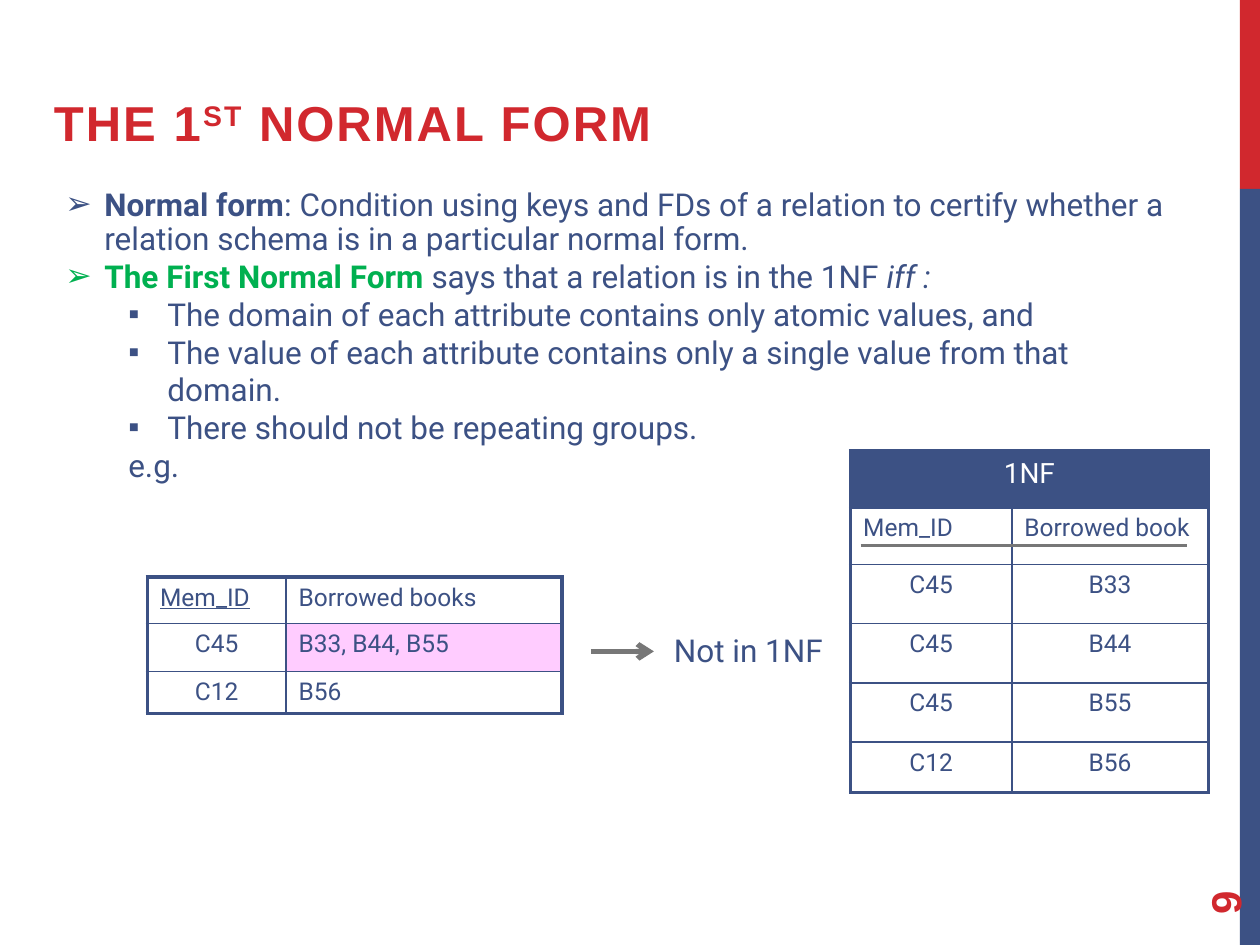
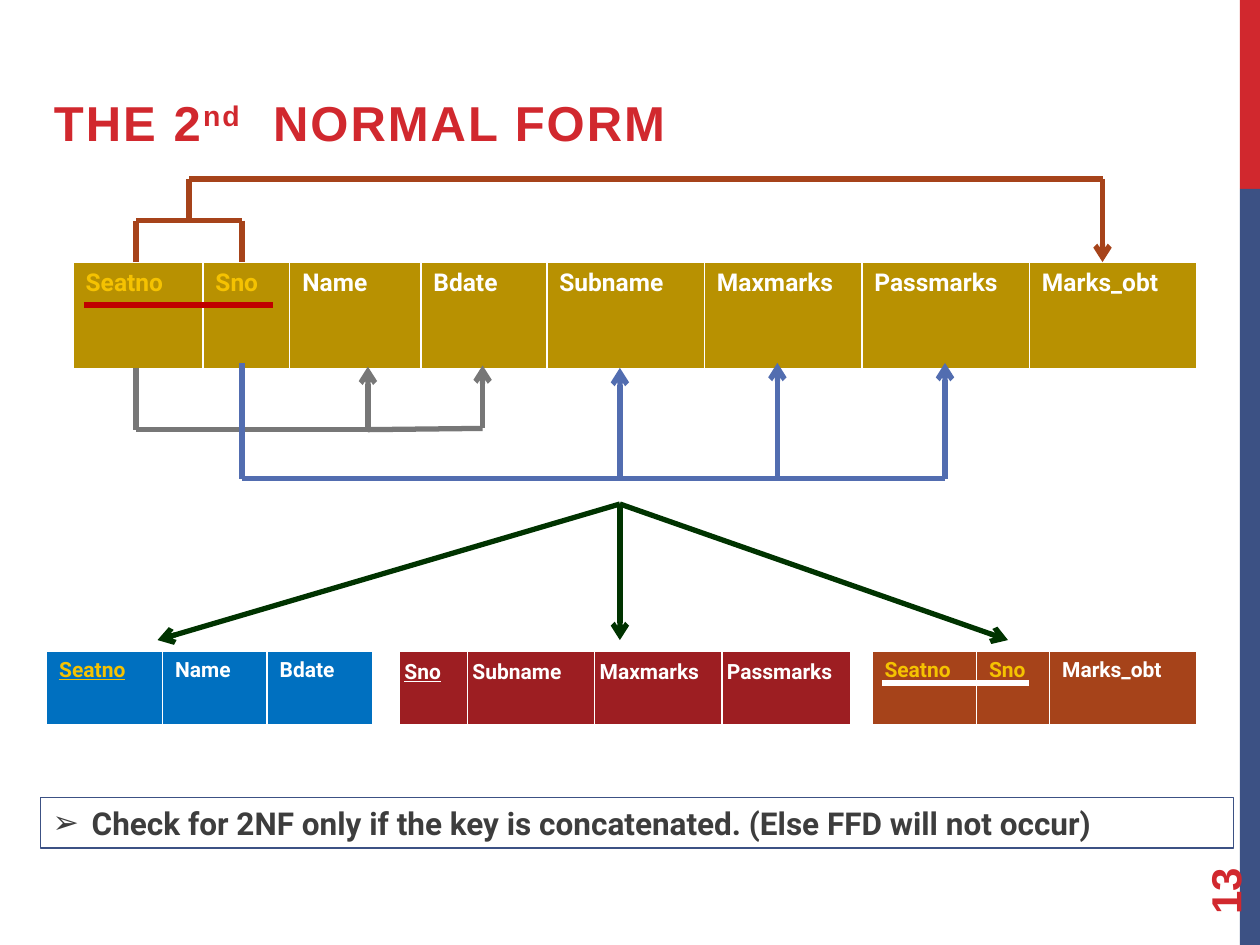
from dataclasses import dataclass
from itertools import pairwise

from lxml.etree import SubElement
from pptx import Presentation
from pptx.dml.color import RGBColor
from pptx.enum.shapes import MSO_CONNECTOR, MSO_SHAPE
from pptx.enum.text import MSO_ANCHOR, PP_ALIGN
from pptx.oxml.ns import qn
from pptx.util import Inches, Pt

RED = RGBColor(0xD1, 0x28, 0x2E)
NAVY = RGBColor(0x3C, 0x51, 0x84)
WHITE = RGBColor(0xFF, 0xFF, 0xFF)
GREEN = RGBColor(0x00, 0xB0, 0x50)
GREY = RGBColor(0x77, 0x77, 0x77)
PINK = RGBColor(0xFF, 0xCC, 0xFF)
OCHRE = RGBColor(0xB8, 0x91, 0x01)
YELLOW = RGBColor(0xF5, 0xC2, 0x01)
BLUE = RGBColor(0x52, 0x6D, 0xB0)
BRIGHT_BLUE = RGBColor(0x00, 0x70, 0xC0)
RUST = RGBColor(0xA6, 0x43, 0x1A)
DARK_GREEN = RGBColor(0x00, 0x33, 0x00)
CRIMSON = RGBColor(0x9D, 0x1E, 0x22)
KEY_RED = RGBColor(0xC0, 0x00, 0x00)
CHARCOAL = RGBColor(0x3D, 0x3D, 0x3D)

HEADING_FONT, BODY_FONT = "Arial", "Roboto"
BAND_LEFT, BAND_WIDTH, BAND_SPLIT = 9.84, 0.16, 1.5
HANGING = 0.31

Point = tuple[float, float]


@dataclass(frozen=True)
class Cell:
    text: str
    color: RGBColor = NAVY
    fill: RGBColor | None = None
    centered: bool = False
    underline: bool = False
    size: float | None = None
    span: int = 1


@dataclass(frozen=True)
class Grid:
    left: float
    top: float
    widths: tuple[float, ...]
    heights: tuple[float, ...]
    rows: tuple[tuple[Cell, ...], ...]
    size: float = 14
    bold: bool = False
    border: RGBColor = NAVY
    outer: float = 2.25
    margin: float | None = None
    line_spacing: float = 1.0


@dataclass(frozen=True)
class Route:
    """Straight segments through points, with an optional arrowhead at the end."""
    points: tuple[Point, ...]
    color: RGBColor
    arrow: bool = False
    width: float = 3


# Text
def add_run(paragraph, text: str, *, color: RGBColor = NAVY, size: float = 18,
            font: str = BODY_FONT, bold: bool = False, italic: bool = False,
            underline: bool = False, raised: bool = False, tracking: float = 0) -> None:
    run = paragraph.add_run()
    run.text = text
    run.font.name, run.font.size = font, Pt(size)
    run.font.bold, run.font.italic, run.font.underline = bold, italic, underline
    run.font.color.rgb = color
    properties = run.font._element
    if raised:
        properties.set("baseline", "30000")
    if tracking:
        properties.set("spc", str(round(tracking * 100)))


def set_indent(paragraph, left: float, bullet: str = "") -> None:
    properties = paragraph._p.get_or_add_pPr()
    properties.set("marL", str(Inches(left)))
    properties.set("indent", str(Inches(-HANGING) if bullet else 0))
    if bullet:
        SubElement(properties, qn("a:buFont"), typeface=HEADING_FONT)
        SubElement(properties, qn("a:buChar"), char=bullet)


def add_text_box(slide, left: float, top: float, width: float, height: float,
                 anchor=MSO_ANCHOR.TOP, wrap: bool = True):
    box = slide.shapes.add_textbox(Inches(left), Inches(top), Inches(width), Inches(height))
    box.text_frame.word_wrap = wrap
    box.text_frame.vertical_anchor = anchor
    return box


# Shapes and lines
def add_rectangle(slide, left: float, top: float, width: float, height: float,
                  fill: RGBColor | None = None, line: RGBColor | None = None):
    shape = slide.shapes.add_shape(MSO_SHAPE.RECTANGLE, Inches(left), Inches(top),
                                   Inches(width), Inches(height))
    shape.shadow.inherit = False
    if fill is None:
        shape.fill.background()
    else:
        shape.fill.solid()
        shape.fill.fore_color.rgb = fill
    if line is None:
        shape.line.fill.background()
    else:
        shape.line.color.rgb = line
        shape.line.width = Pt(0.75)
    return shape


def draw_route(slide, route: Route) -> None:
    for start, end in pairwise(route.points):
        connector = slide.shapes.add_connector(
            MSO_CONNECTOR.STRAIGHT, *(Inches(value) for value in (*start, *end)))
        connector.line.color.rgb = route.color
        connector.line.width = Pt(route.width)
        SubElement(connector._element.spPr, qn("a:effectLst"))
    if route.arrow:
        SubElement(connector.line._get_or_add_ln(), qn("a:tailEnd"), type="arrow")


# Tables
def set_border(cell, side: str, color: RGBColor, width: float) -> None:
    line = SubElement(cell._tc.get_or_add_tcPr(), qn(f"a:ln{side}"), w=str(Pt(width)))
    SubElement(SubElement(line, qn("a:solidFill")), qn("a:srgbClr"), val=str(color))


def draw_grid(slide, grid: Grid) -> None:
    row_count, column_count = len(grid.heights), len(grid.widths)
    table = slide.shapes.add_table(
        row_count, column_count, Inches(grid.left), Inches(grid.top),
        Inches(sum(grid.widths)), Inches(sum(grid.heights))).table
    table.first_row = table.horz_banding = False
    for column, width in zip(table.columns, grid.widths):
        column.width = Inches(width)
    for row, height in zip(table.rows, grid.heights):
        row.height = Inches(height)

    for row_index, row in enumerate(grid.rows):
        for column_index, content in enumerate(row):
            cell = table.cell(row_index, column_index)
            last_column = column_index + content.span - 1
            if content.span > 1:
                cell.merge(table.cell(row_index, last_column))
            at_edge = {"L": column_index == 0, "R": last_column == column_count - 1,
                       "T": row_index == 0, "B": row_index == row_count - 1}
            for side, is_outer in at_edge.items():
                set_border(cell, side, grid.border, grid.outer if is_outer else 1)
            if content.fill is None:
                cell.fill.background()
            else:
                cell.fill.solid()
                cell.fill.fore_color.rgb = content.fill
            if grid.margin is not None:
                cell.margin_left = cell.margin_right = Inches(grid.margin)
                cell.margin_top = cell.margin_bottom = Inches(grid.margin)
            paragraph = cell.text_frame.paragraphs[0]
            paragraph.alignment = PP_ALIGN.CENTER if content.centered else PP_ALIGN.LEFT
            paragraph.line_spacing = grid.line_spacing
            add_run(paragraph, content.text, color=content.color, bold=grid.bold,
                    size=content.size or grid.size, underline=content.underline)


def relation(left: float, top: float, height: float, widths: tuple[float, ...],
             names: str, fill: RGBColor, *, keys: str = "", underlined: str = "",
             size: float = 12, margin: float | None = None, line_spacing: float = 1.0) -> Grid:
    """One-row table of attribute names, with key attributes in yellow."""
    cells = tuple(Cell(name, YELLOW if name in keys.split() else WHITE, fill,
                       underline=name == underlined) for name in names.split())
    return Grid(left, top, widths, (height,), (cells,), size, True, WHITE, 1,
                margin, line_spacing)


# Parts common to both slides
def add_base_slide(presentation, number: int, start: str, ordinal: str, end: str):
    slide = presentation.slides.add_slide(presentation.slide_layouts[6])
    add_rectangle(slide, BAND_LEFT, 0, BAND_WIDTH, BAND_SPLIT, RED)
    add_rectangle(slide, BAND_LEFT, BAND_SPLIT, BAND_WIDTH, 7.5 - BAND_SPLIT, NAVY)
    page = add_text_box(slide, 9, 6.44, 1.44, 0.4, MSO_ANCHOR.MIDDLE)
    page.rotation = 270
    add_run(page.text_frame.paragraphs[0], str(number), font=HEADING_FONT,
            size=24, color=RED, bold=True)
    title = add_text_box(slide, 0.33, 0.58, 8.42, 0.67, MSO_ANCHOR.BOTTOM)
    for text in (start, ordinal, end):
        add_run(title.text_frame.paragraphs[0], text, font=HEADING_FONT, size=28,
                color=RED, bold=True, raised=text == ordinal, tracking=1.2)
    return slide


def build_first_normal_form(presentation) -> None:
    slide = add_base_slide(presentation, 9, "THE 1", "ST", " NORMAL FORM")

    # Definition
    frame = add_text_box(slide, 0.42, 1.45, 9.08, 3.04).text_frame
    definition = frame.paragraphs[0]
    definition.line_spacing = 0.9
    set_indent(definition, HANGING, "➢")
    add_run(definition, "Normal form", bold=True)
    add_run(definition, ": Condition using keys and FDs of a relation to certify "
                        "whether a relation schema is in a particular normal form.")
    rule = frame.add_paragraph()
    set_indent(rule, HANGING, "➢")
    add_run(rule, "The First Normal Form ", color=GREEN, bold=True)
    add_run(rule, "says that a relation is in the 1NF ")
    add_run(rule, "iff :", italic=True)
    for text in ("The domain of each attribute contains only atomic values, and",
                 "The value of each attribute contains only a single value from that domain.",
                 "There should not be repeating groups."):
        condition = frame.add_paragraph()
        set_indent(condition, 0.5 + HANGING, "▪")
        add_run(condition, text)
    example = frame.add_paragraph()
    set_indent(example, 0.5)
    add_run(example, "e.g.")

    # Unnormalised relation, and its 1NF version
    draw_grid(slide, Grid(1.17, 4.58, (1.1, 2.19), (0.37, 0.38, 0.33), (
        (Cell("Mem_ID", underline=True), Cell("Borrowed books")),
        (Cell("C45", centered=True), Cell("B33, B44, B55", fill=PINK)),
        (Cell("C12", centered=True), Cell("B56")))))
    draw_route(slide, Route(((4.69, 5.17), (5.19, 5.17)), GREY, arrow=True))
    label = add_text_box(slide, 5.25, 4.96, 1.39, 0.4, wrap=False)
    add_run(label.text_frame.paragraphs[0], "Not in 1NF")

    loans = (("C45", "B33"), ("C45", "B44"), ("C45", "B55"), ("C12", "B56"))
    draw_grid(slide, Grid(6.75, 3.58, (1.28, 1.56), (0.45, 0.45, 0.47, 0.47, 0.47, 0.4), (
        (Cell("1NF", WHITE, NAVY, centered=True, size=16, span=2),),
        (Cell("Mem_ID"), Cell("Borrowed book")),
        *((Cell(member, centered=True), Cell(book, fill=WHITE, centered=True))
          for member, book in loans))))
    draw_route(slide, Route(((6.83, 4.33), (9.42, 4.33)), GREY, width=2))


def build_second_normal_form(presentation) -> None:
    slide = add_base_slide(presentation, 13, "THE 2", "nd", "  NORMAL FORM")
    seatno_x, sno_x, bracket_x, split = 1.08, 1.92, 1.5, (4.92, 4)

    # Full relation
    draw_grid(slide, relation(
        0.58, 2.08, 0.85, (1.03, 0.69, 1.04, 1, 1.25, 1.25, 1.33, 1.33),
        "Seatno Sno Name Bdate Subname Maxmarks Passmarks Marks_obt",
        OCHRE, keys="Seatno Sno", size=14))

    # Dependencies on Seatno, on Sno and on both, then the decomposition
    routes = [
        Route(((seatno_x, 2.92), (seatno_x, 3.41), (2.92, 3.41), (2.92, 2.91)), GREY, True),
        Route(((2.92, 3.41), (3.83, 3.4), (3.83, 2.9)), GREY, True),
        Route(((sno_x, 2.88), (sno_x, 3.8), (7.5, 3.8), (7.5, 2.88)), BLUE, True),
        Route(((4.92, 3.8), (4.92, 2.92)), BLUE, True),
        Route(((6.17, 3.8), (6.17, 2.88)), BLUE, True),
        Route(((seatno_x, 2.08), (seatno_x, 1.75), (sno_x, 1.75), (sno_x, 2.08)), RUST),
        Route(((bracket_x, 1.75), (bracket_x, 1.42), (8.75, 1.42), (8.75, 2.08)), RUST, True),
        *(Route((split, (x, 5.08)), DARK_GREEN, True) for x in (1.25, 4.92, 8)),
    ]
    for route in routes:
        draw_route(slide, route)

    # Decomposed relations
    top, height = 5.17, 0.58
    for grid in (
        relation(0.37, top, height, (0.92, 0.83, 0.84), "Seatno Name Bdate",
                 BRIGHT_BLUE, keys="Seatno", underlined="Seatno"),
        relation(6.92, top, height, (0.83, 0.58, 1.17), "Seatno Sno Marks_obt",
                 RUST, keys="Seatno Sno"),
        relation(3.17, top, height, (0.54, 1.01, 1.01, 1.02),
                 "Sno Subname Maxmarks Passmarks", CRIMSON, underlined="Sno",
                 margin=0.04, line_spacing=1.15),
    ):
        draw_grid(slide, grid)

    # Note
    note = add_rectangle(slide, 0.32, 6.33, 9.47, 0.4, line=NAVY)
    note.text_frame.word_wrap = True
    note.text_frame.vertical_anchor = MSO_ANCHOR.TOP
    paragraph = note.text_frame.paragraphs[0]
    paragraph.alignment = PP_ALIGN.LEFT
    set_indent(paragraph, HANGING, "➢")
    add_run(paragraph, "Check for 2NF only if the key is concatenated. "
                       "(Else FFD will not occur)", color=CHARCOAL, bold=True)

    # Underlines of the composite keys
    draw_route(slide, Route(((0.67, 2.42), (2.17, 2.42)), KEY_RED))
    draw_route(slide, Route(((7, 5.42), (8.17, 5.42)), WHITE))


def main() -> None:
    presentation = Presentation()
    presentation.slide_width, presentation.slide_height = Inches(10), Inches(7.5)
    build_first_normal_form(presentation)
    build_second_normal_form(presentation)
    presentation.save("out.pptx")


if __name__ == "__main__":
    main()
